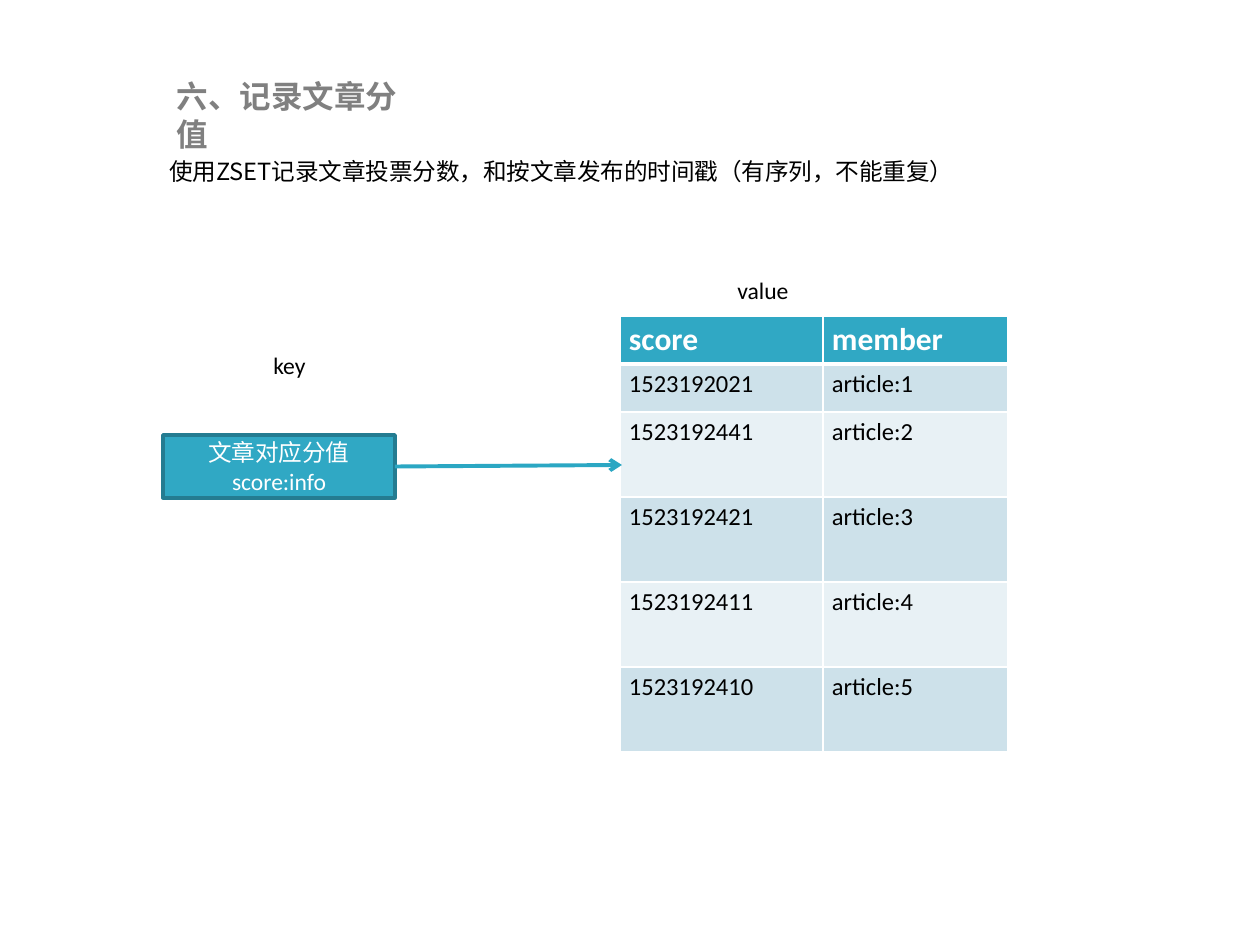
from dataclasses import dataclass

from lxml import etree
from pptx import Presentation
from pptx import util as u
from pptx.dml.color import RGBColor
from pptx.enum import shapes, text
from pptx.oxml import ns

EMU_PER_PX = 914400 / 126
COLORS = {
    "black": "000000",
    "white": "FFFFFF",
    "title": "808080",
    "teal": "30A8C4",
    "outline": "247C91",
    "arrow": "2BA7C3",
    "band_dark": "CDE1EA",
    "band_light": "E8F1F5",
}
LATIN_FONT = "Calibri"
CHINESE_FONT = "Noto Sans CJK SC"
COLUMN_WIDTHS = [203, 185]
ROW_HEIGHTS = [48, 48, 85, 85, 85, 85]
ROWS = [
    ("score", "member"),
    ("1523192021", "article:1"),
    ("1523192441", "article:2"),
    ("1523192421", "article:3"),
    ("1523192411", "article:4"),
    ("1523192410", "article:5"),
]


@dataclass(frozen=True)
class Box:
    left: int
    top: int
    width: int
    height: int

    def emu(self) -> tuple:
        return tuple(px(n) for n in (self.left, self.top, self.width, self.height))


@dataclass(frozen=True)
class Style:
    size: float = 13.5
    color: str = "black"
    font: str = LATIN_FONT
    bold: bool = False


@dataclass(frozen=True)
class Label:
    words: str
    box: Box
    style: Style = Style()
    indent: int = 0
    line_spacing: float = 1.0


LABELS = [
    Label(
        "使用ZSET记录文章投票分数，和按文章发布的时间戳（有序列，不能重复）",
        Box(84, 142, 917, 50),
        Style(font=CHINESE_FONT),
        indent=73,
        line_spacing=1.3,
    ),
    Label("key", Box(261, 345, 88, 42)),
    Label("value", Box(725, 270, 88, 42)),
]


def px(length: int) -> u.Emu:
    return u.Emu(round(length * EMU_PER_PX))


def color(name: str) -> RGBColor:
    return RGBColor.from_string(COLORS[name])


def add_run(paragraph, words: str, style: Style) -> None:
    run = paragraph.add_run()
    run.text = words
    run.font.size = u.Pt(style.size)
    run.font.bold = style.bold
    run.font.color.rgb = color(style.color)
    run.font.name = style.font
    east_asian = etree.SubElement(run.font._element, ns.qn("a:ea"))
    east_asian.set("typeface", CHINESE_FONT)


def format_title(slide, words: str, box: Box, style: Style) -> None:
    title = slide.shapes.title
    title.left, title.top, title.width, title.height = box.emu()
    frame = title.text_frame
    frame.word_wrap = False
    frame.auto_size = text.MSO_AUTO_SIZE.SHAPE_TO_FIT_TEXT
    frame.vertical_anchor = text.MSO_ANCHOR.TOP
    paragraph = frame.paragraphs[0]
    paragraph.alignment = text.PP_ALIGN.LEFT
    add_run(paragraph, words, style)


def add_label(slide, label: Label) -> None:
    frame = slide.shapes.add_textbox(*label.box.emu()).text_frame
    frame.word_wrap = True
    frame.auto_size = text.MSO_AUTO_SIZE.SHAPE_TO_FIT_TEXT
    paragraph = frame.paragraphs[0]
    paragraph.line_spacing = label.line_spacing
    if label.indent:
        paragraph._p.get_or_add_pPr().set("indent", str(px(label.indent)))
    add_run(paragraph, label.words, label.style)


def set_border(cell, side: str, points: float) -> None:
    line = etree.SubElement(cell._tc.get_or_add_tcPr(), ns.qn(f"a:{side}"))
    line.set("w", str(u.Pt(points)))
    fill = etree.SubElement(line, ns.qn("a:solidFill"))
    etree.SubElement(fill, ns.qn("a:srgbClr")).set("val", COLORS["white"])


def format_cell(cell, words: str, row: int) -> None:
    cell.margin_left = cell.margin_right = px(9)
    cell.margin_top = cell.margin_bottom = px(5)
    header = row == 0
    for side in ("lnL", "lnR", "lnT", "lnB"):
        thick = (row, side) in ((0, "lnB"), (1, "lnT"))
        set_border(cell, side, 3 if thick else 1)
    fill = "teal" if header else "band_dark" if row % 2 else "band_light"
    cell.fill.solid()
    cell.fill.fore_color.rgb = color(fill)
    style = Style(18, "white", bold=True) if header else Style(14)
    add_run(cell.text_frame.paragraphs[0], words, style)


def add_score_table(slide, left: int, top: int) -> None:
    box = Box(left, top, sum(COLUMN_WIDTHS), sum(ROW_HEIGHTS))
    table = slide.shapes.add_table(len(ROWS), len(COLUMN_WIDTHS), *box.emu()).table
    table.horz_banding = False
    for column, width in zip(table.columns, COLUMN_WIDTHS):
        column.width = px(width)
    for index, (row, height) in enumerate(zip(table.rows, ROW_HEIGHTS)):
        row.height = px(height)
        for cell, words in zip(row.cells, ROWS[index]):
            format_cell(cell, words, index)


def add_key_box(slide, box: Box, lines: list[str]):
    shape = slide.shapes.add_shape(shapes.MSO_SHAPE.RECTANGLE, *box.emu())
    shape.shadow.inherit = False
    shape.fill.solid()
    shape.fill.fore_color.rgb = color("teal")
    shape.line.color.rgb = color("outline")
    shape.line.width = u.Pt(2)
    frame = shape.text_frame
    frame.word_wrap = True
    frame.vertical_anchor = text.MSO_ANCHOR.MIDDLE
    for index, words in enumerate(lines):
        paragraph = frame.add_paragraph() if index else frame.paragraphs[0]
        paragraph.alignment = text.PP_ALIGN.CENTER
        add_run(paragraph, words, Style(color="white"))
    return shape


def add_arrow(slide, source, end_x: int, end_y: int) -> None:
    arrow = slide.shapes.add_connector(
        shapes.MSO_CONNECTOR.STRAIGHT, 0, 0, px(end_x), px(end_y)
    )
    arrow.begin_connect(source, 3)
    arrow.line.color.rgb = color("arrow")
    arrow.line.width = u.Pt(2.25)
    tail = etree.SubElement(arrow.line._get_or_add_ln(), ns.qn("a:tailEnd"))
    tail.set("type", "arrow")
    etree.SubElement(arrow._element.spPr, ns.qn("a:effectLst"))


def main() -> None:
    presentation = Presentation()
    presentation.slide_width = px(1260)
    presentation.slide_height = px(945)
    slide = presentation.slides.add_slide(presentation.slide_layouts[5])
    format_title(
        slide,
        "六、记录文章分值",
        Box(164, 71, 277, 50),
        Style(18, "title", CHINESE_FONT, True),
    )
    for label in LABELS:
        add_label(slide, label)
    add_score_table(slide, 620, 316)
    key_box = add_key_box(slide, Box(163, 435, 232, 63), ["文章对应分值", "score:info"])
    add_arrow(slide, key_box, 622, 465)
    presentation.save("out.pptx")


if __name__ == "__main__":
    main()
